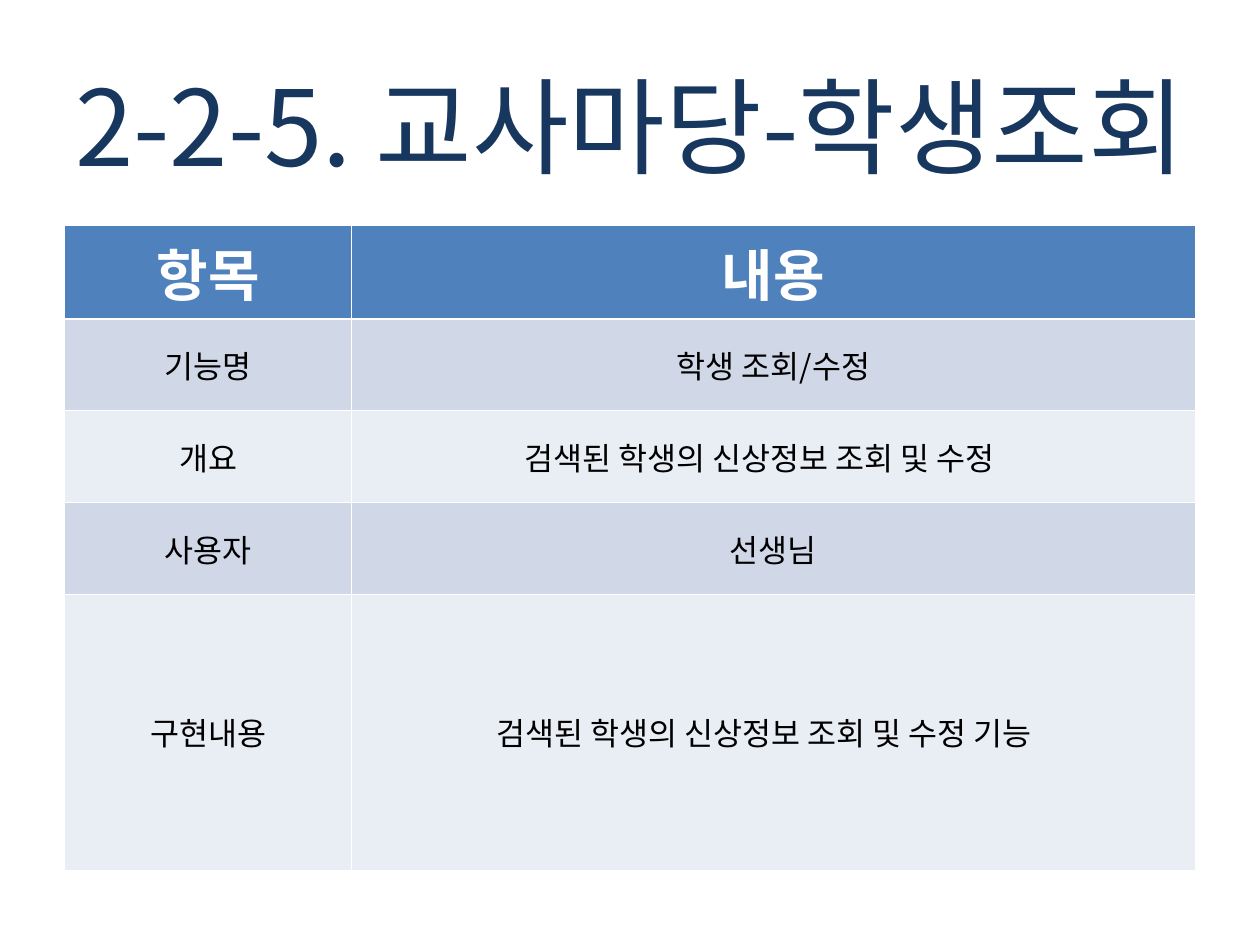
from lxml.etree import SubElement
from pptx import Presentation
from pptx.dml.color import RGBColor
from pptx.enum.text import MSO_ANCHOR, MSO_AUTO_SIZE, PP_ALIGN
from pptx.oxml.ns import qn
from pptx.util import Pt

FONT = "Noto Sans CJK KR"


def color(value):
    return RGBColor.from_string(value)


def write(frame, text, size, ink, bold=False):
    paragraph = frame.paragraphs[0]
    paragraph.alignment = PP_ALIGN.CENTER
    span = paragraph.add_run()
    span.text = text
    for name, value in {"size": Pt(size), "bold": bold, "name": FONT}.items():
        setattr(span.font, name, value)
    span.font.color.rgb = color(ink)
    SubElement(span.font._element, qn("a:ea"), typeface=FONT)


deck = Presentation()
deck.slide_width, deck.slide_height = Pt(720), Pt(540)
page = deck.slides.add_slide(deck.slide_layouts[5])

title = page.shapes.title
title_place = {"left": 0, "top": 31.5, "width": 720, "height": 79}
for name, value in title_place.items():
    setattr(title, name, Pt(value))
title.text_frame.auto_size = MSO_AUTO_SIZE.NONE
title.text_frame.vertical_anchor = MSO_ANCHOR.MIDDLE
write(title.text_frame, "2-2-5. 교사마당-학생조회", 60, "17375E")

rows = [
    ("항목", "내용", 0),
    ("기능명", "학생 조회/수정", 0),
    ("개요", "검색된 학생의 신상정보 조회 및 수정", 16),
    ("사용자", "선생님", 0),
    ("구현내용", "검색된 학생의 신상정보 조회 및 수정 기능", 11),
]
widths = [164, 482]
heights = [52.5] * 4 + [157.5]

table = page.shapes.add_table(
    len(rows), len(widths), Pt(37), Pt(128.5), Pt(sum(widths)), Pt(sum(heights))
).table
for column, width in zip(table.columns, widths):
    column.width = Pt(width)
for row, height in zip(table.rows, heights):
    row.height = Pt(height)

for index, (label, content, extra_margin) in enumerate(rows):
    header = index == 0
    fill = "4F81BD" if header else "D0D8E8" if index % 2 else "E9EDF4"
    for cell, text in zip(table.rows[index].cells, (label, content)):
        cell.vertical_anchor = MSO_ANCHOR.MIDDLE
        write(cell.text_frame, text, 32 if header else 18,
              "FFFFFF" if header else "000000", header)
        borders = {"lnL": 0.45, "lnR": 0.45,
                   "lnT": 1.47 if index == 1 else 0.45,
                   "lnB": 1.47 if header else 0.45}
        for edge, weight in borders.items():
            line = SubElement(cell._tc.get_or_add_tcPr(), qn("a:" + edge), w=str(Pt(weight)))
            SubElement(SubElement(line, qn("a:solidFill")), qn("a:srgbClr"), val="FFFFFF")
        cell.fill.solid()
        cell.fill.fore_color.rgb = color(fill)
    table.cell(index, 1).margin_right = Pt(7.2 + extra_margin)

deck.save("out.pptx")
